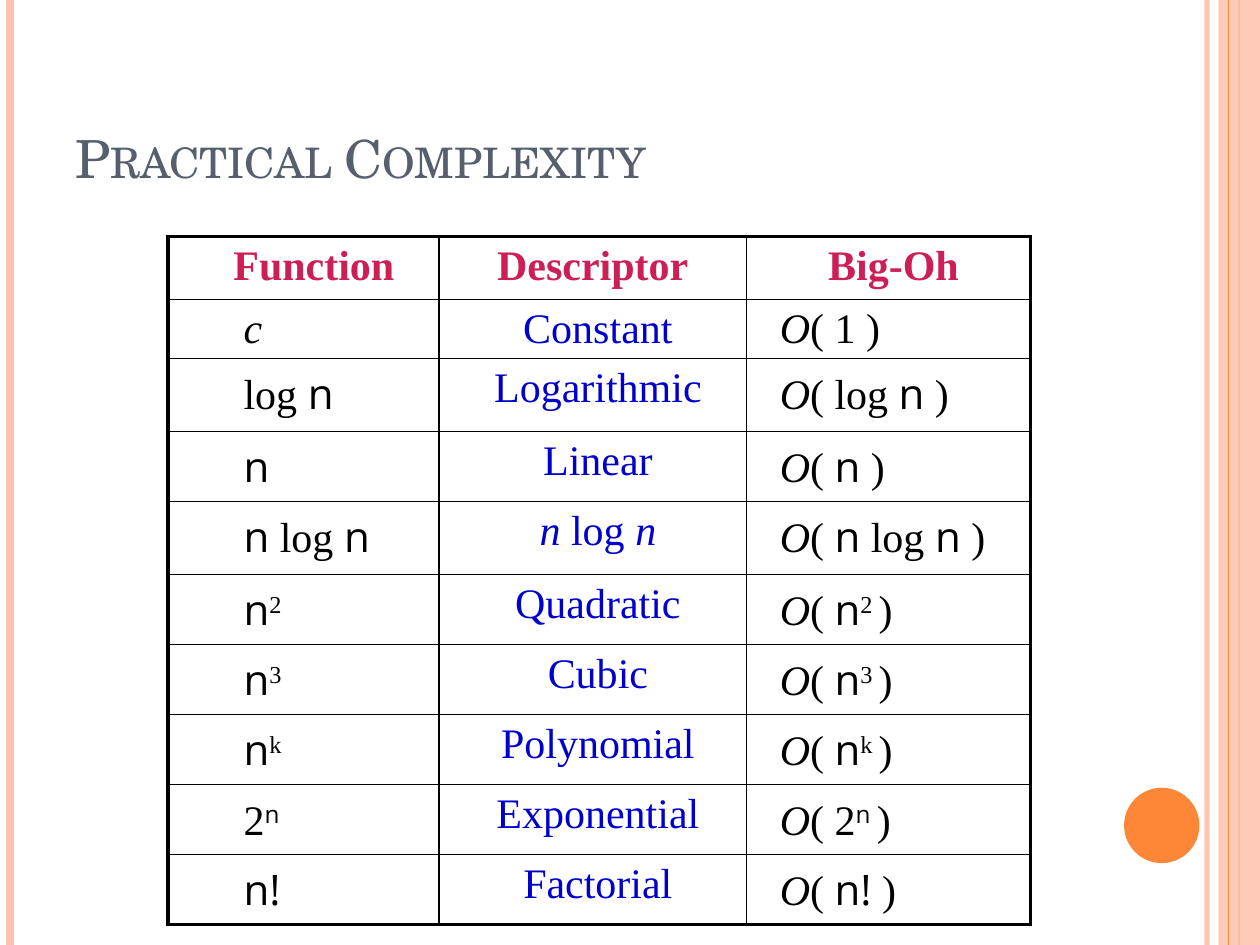
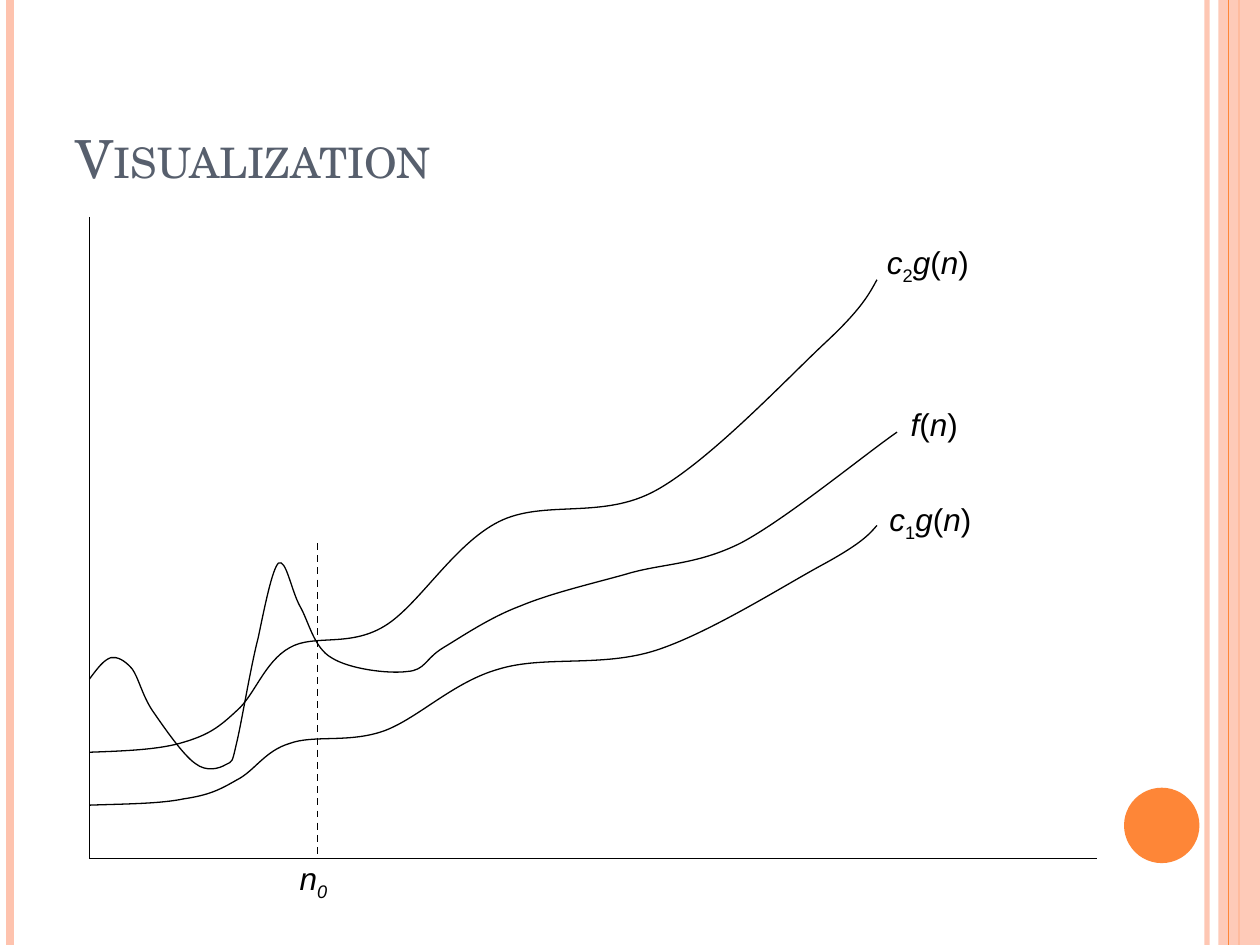
from pptx import Presentation
from pptx.dml.color import RGBColor
from pptx.enum.dml import MSO_LINE_DASH_STYLE as Dash
from pptx.enum.shapes import MSO_CONNECTOR as Connector, MSO_SHAPE as Preset
from pptx.enum.text import MSO_ANCHOR as Anchor, MSO_AUTO_SIZE as AutoSize, PP_ALIGN as Align
from pptx.oxml.ns import qn
from pptx.util import Cm, Pt
from lxml.etree import SubElement

COLORS = {
    "band": "FEC3AE",
    "accent": "FE8637",
    "title": "575F6D",
    "header": "CC1F55",
    "descriptor": "0000CC",
    "ink": "000000",
}
SLIDE_W, SLIDE_H = 25.4, 19.05
TITLE_FONT, TABLE_FONT, MATH_FONT, LABEL_FONT = "TeX Gyre Schola", "Times New Roman", "Open Sans", "Arial"
PLOT_UNIT = Cm(2.54) / 100

PLAIN, ITALIC = {}, {"italic": True}
MATH, SUPER, SUB = {"font": MATH_FONT}, {"baseline": 30}, {"baseline": -25}
N = ("n", MATH)

GROWTH_RATES = [
    ([("c", ITALIC)], [("Constant", PLAIN)]),
    ([("log ", PLAIN), N], [("Logarithmic", PLAIN)]),
    ([N], [("Linear", PLAIN)]),
    ([N, (" log ", PLAIN), N], [("n", ITALIC), (" log ", PLAIN), ("n", ITALIC)]),
    ([N, ("2", SUPER)], [("Quadratic", PLAIN)]),
    ([N, ("3", SUPER)], [("Cubic", PLAIN)]),
    ([N, ("k", SUPER)], [("Polynomial", PLAIN)]),
    ([("2", PLAIN), ("n", MATH | SUPER)], [("Exponential", PLAIN)]),
    ([("n!", MATH)], [("Factorial", PLAIN)]),
]
HEADERS = [("Function", 0.42), ("Descriptor", 0), ("Big-Oh", 0.21)]
COLUMN_WIDTHS = [5.46, 6.2, 5.72]
ROW_HEIGHTS = [1.27, 1.19, 1.47, 1.41, 1.47] + [1.41] * 5

UPPER_BOUND = [
    (71, 597), (99, 596), (127, 595), (146, 589), (166, 583), (174, 577), (188, 564),
    (202, 552), (210, 525), (230, 514), (249, 503), (277, 514), (305, 497),
    (332, 481), (360, 432), (396, 414), (432, 396), (478, 413), (521, 389),
    (564, 365), (625, 300), (655, 272), (684, 245), (690, 233), (696, 222),
]
LOWER_BOUND = [(x, round(639 - 0.592 * (597 - y))) for x, y in UPPER_BOUND]
F_CURVE = [
    (71, 539), (77, 531), (82, 524), (88, 522), (93, 521), (99, 524), (105, 531),
    (110, 538), (113, 552), (121, 564), (130, 577), (145, 599), (155, 606),
    (164, 613), (174, 610), (179, 607), (185, 604), (184, 606), (188, 589),
    (192, 572), (199, 529), (205, 506), (210, 482), (216, 452), (221, 447),
    (227, 443), (231, 468), (238, 481), (245, 493), (249, 514), (263, 522),
    (277, 531), (308, 535), (323, 533), (338, 532), (337, 523), (352, 514),
    (367, 505), (389, 490), (413, 481), (437, 471), (467, 464), (496, 456),
    (525, 447), (552, 449), (588, 431), (624, 412), (686, 361), (712, 343),
]


def rgb(name):
    return RGBColor.from_string(COLORS[name])


def write(frame, runs, align=Align.LEFT, **shared):
    paragraph = frame.paragraphs[0]
    paragraph.alignment = align
    for text, special in runs:
        style = shared | special
        run = paragraph.add_run()
        run.text = text
        run.font.name = style["font"]
        run.font.size = Pt(style["size"])
        run.font.color.rgb = rgb(style.get("color", "ink"))
        run.font.bold = style.get("bold", False)
        run.font.italic = style.get("italic", False)
        properties = run._r.get_or_add_rPr()
        if "baseline" in style:
            properties.set("baseline", str(style["baseline"] * 1000))
        if style.get("small_caps"):
            properties.set("cap", "small")


def set_opacity(element, percent):
    for color in element.iter(qn("a:srgbClr")):
        SubElement(color, qn("a:alpha"), val=str(percent * 1000))


def add_line(slide, x1, y1, x2, y2, color="ink", width=0.75, dash=None, opacity=None):
    line = slide.shapes.add_connector(Connector.STRAIGHT, Cm(x1), Cm(y1), Cm(x2), Cm(y2))
    line.line.color.rgb = rgb(color)
    line.line.width = Pt(width)
    if dash:
        line.line.dash_style = dash
    properties = line._element.spPr
    if opacity:
        set_opacity(properties, opacity)
    SubElement(properties, qn("a:effectLst"))


def add_filled(slide, preset, left, top, width, height, color, opacity=None):
    shape = slide.shapes.add_shape(preset, Cm(left), Cm(top), Cm(width), Cm(height))
    shape.shadow.inherit = False
    shape.fill.solid()
    shape.fill.fore_color.rgb = rgb(color)
    shape.line.fill.background()
    if opacity:
        set_opacity(shape._element.spPr, opacity)


def add_decoration(slide):
    def stripe(x, color, width, opacity=None):
        add_line(slide, x, 0, x, SLIDE_H, color, width, opacity=opacity)

    stripe(24.33, "band", 3, 93)
    stripe(0.21, "band", 4.5)
    stripe(24.98, "accent", 1.5)
    add_filled(slide, Preset.RECTANGLE, 24.56, 0, 0.84, SLIDE_H, "band", 87)
    stripe(24.77, "accent", 0.75)
    add_filled(slide, Preset.OVAL, 22.66, 15.88, 1.52, 1.52, "accent")


def add_titled_slide(deck, text):
    slide = deck.slides.add_slide(deck.slide_layouts[5])
    add_decoration(slide)
    title = slide.shapes.title
    title.left, title.top, title.width, title.height = Cm(1.27), Cm(0.76), Cm(21.39), Cm(3.18)
    title.text_frame.vertical_anchor = Anchor.BOTTOM
    write(title.text_frame, [(text, PLAIN)], font=TITLE_FONT, size=30, color="title", small_caps=True)
    return slide


def add_border(cell, side, width):
    edge = SubElement(cell._tc.get_or_add_tcPr(), qn(f"a:ln{side}"), w=str(Pt(width)))
    fill = SubElement(edge, qn("a:solidFill"))
    SubElement(fill, qn("a:srgbClr"), val=COLORS["ink"])


def fill_cell(cell, runs, indent, outer_sides, **style):
    cell.margin_left = Cm(0.25 + indent)
    for side in "LRTB":
        add_border(cell, side, 2.25 if side in outer_sides else 1)
    cell.fill.background()
    write(cell.text_frame, runs, font=TABLE_FONT, size=24, **style)


def big_oh(growth):
    *leading, (last, style) = growth
    if "baseline" in style:
        ending = [(last + " ", style), (")", PLAIN)]
    else:
        ending = [(last, style), (" )", PLAIN)]
    return [("O", ITALIC), ("( ", PLAIN), *leading, *ending]


def add_complexity_table(slide):
    rows, columns = len(ROW_HEIGHTS), len(COLUMN_WIDTHS)
    table = slide.shapes.add_table(
        rows, columns, Cm(3.39), Cm(4.77), Cm(sum(COLUMN_WIDTHS)), Cm(sum(ROW_HEIGHTS))
    ).table
    table.first_row = table.horz_banding = False
    for column, width in zip(table.columns, COLUMN_WIDTHS):
        column.width = Cm(width)
    for row, height in zip(table.rows, ROW_HEIGHTS):
        row.height = Cm(height)

    header_style = {"align": Align.CENTER, "color": "header", "bold": True}
    contents = [[([(text, PLAIN)], indent, header_style) for text, indent in HEADERS]]
    for growth, descriptor in GROWTH_RATES:
        bound = [("1", PLAIN)] if growth == [("c", ITALIC)] else growth
        contents.append([
            (growth, 1.27, {}),
            (descriptor, 0.21, {"align": Align.CENTER, "color": "descriptor"}),
            (big_oh(bound), 0.42, {}),
        ])
    for r, entries in enumerate(contents):
        for c, (runs, indent, style) in enumerate(entries):
            outer = {"T": r == 0, "B": r == rows - 1, "L": c == 0, "R": c == columns - 1}
            outer_sides = [side for side, is_outer in outer.items() if is_outer]
            fill_cell(table.cell(r, c), runs, indent, outer_sides, **style)


def add_curve(slide, points):
    builder = slide.shapes.build_freeform(*points[0], scale=PLOT_UNIT)
    builder.add_line_segments(points[1:], close=False)
    curve = builder.convert_to_shape()
    curve.shadow.inherit = False
    curve.fill.background()
    curve.line.color.rgb = rgb("ink")
    curve.line.width = Pt(0.75)
    outline = next(curve._element.iter(qn("a:path")))
    segments = outline.findall(qn("a:lnTo"))
    for start in range(0, len(segments), 3):
        bezier = SubElement(outline, qn("a:cubicBezTo"))
        for segment in segments[start:start + 3]:
            bezier.append(segment[0])
            outline.remove(segment)


def add_label(slide, left, top, width, runs):
    frame = slide.shapes.add_textbox(Cm(left), Cm(top), Cm(width), Cm(1.27)).text_frame
    frame.word_wrap = False
    frame.auto_size = AutoSize.SHAPE_TO_FIT_TEXT
    write(frame, runs, font=LABEL_FONT, size=18)


def add_growth_plot(slide):
    origin_x, origin_y = 1.8, 17.3
    add_line(slide, origin_x, 4.37, origin_x, origin_y)
    add_line(slide, origin_x, origin_y, 22.12, origin_y)
    for points in (UPPER_BOUND, F_CURVE, LOWER_BOUND):
        add_curve(slide, points)
    add_line(slide, 6.4, 10.95, 6.4, origin_y, width=1, dash=Dash.DASH)

    argument = [("(", PLAIN), ("n", ITALIC), (")", PLAIN)]
    add_label(slide, 5.79, 17.2, 1.22, [("n", ITALIC), ("0", ITALIC | SUB)])
    add_label(slide, 18.11, 8.05, 1.73, [("f", ITALIC), *argument])
    for constant, left, top in (("2", 17.63, 4.77), ("1", 17.68, 9.96)):
        add_label(slide, left, top, 2.59, [("c", ITALIC), (constant, SUB), ("g", ITALIC), *argument])


def main():
    deck = Presentation()
    deck.slide_width, deck.slide_height = Cm(SLIDE_W), Cm(SLIDE_H)
    add_complexity_table(add_titled_slide(deck, "Practical Complexity"))
    add_growth_plot(add_titled_slide(deck, "Visualization"))
    deck.save("out.pptx")


if __name__ == "__main__":
    main()
